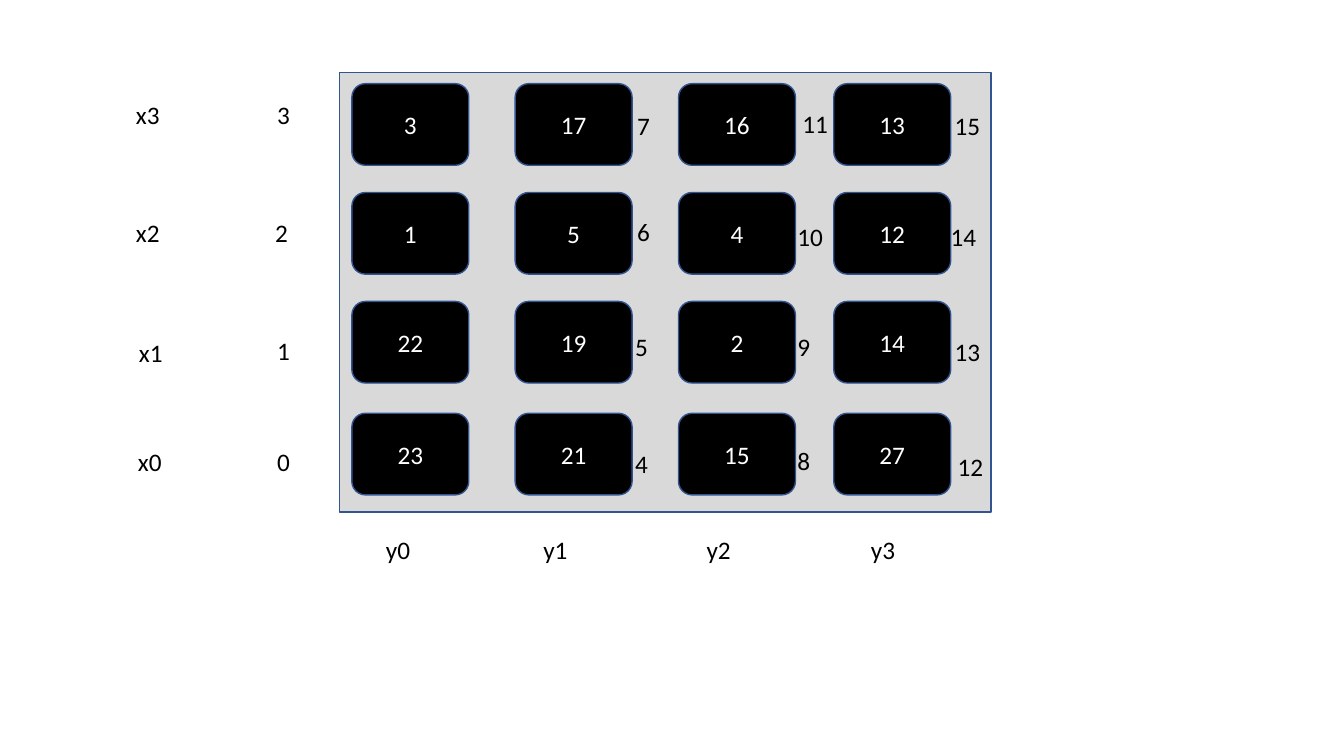
import dataclasses

import pptx
import pptx.dml.color
import pptx.enum.shapes
import pptx.enum.text
import pptx.shapes.autoshape
import pptx.util

RGBColor = pptx.dml.color.RGBColor
SHAPE = pptx.enum.shapes.MSO_SHAPE
BLACK = RGBColor(0x00, 0x00, 0x00)
WHITE = RGBColor(0xFF, 0xFF, 0xFF)
GREY = RGBColor(0xD9, 0xD9, 0xD9)
BLUE = RGBColor(0x32, 0x54, 0x91)

# Grid: left edges of y0 to y3, top edges of x0 to x3 (x0 is lowest)
COLUMN_LEFTS = (3.49, 5.11, 6.73, 8.27)
ROW_TOPS = (4.1, 2.99, 1.91, 0.83)
CELL_WIDTH, CELL_HEIGHT = 1.16, 0.81
LABEL_HEIGHT = 0.4

# Cell values by row, from x0 up to x3
VALUES = ((23, 21, 15, 27), (22, 19, 2, 14), (1, 5, 4, 12), (3, 17, 16, 13))


@dataclasses.dataclass(frozen=True)
class Box:
    left: float
    top: float
    width: float
    height: float

    def emu(self) -> list[int]:
        return [pptx.util.Inches(n) for n in dataclasses.astuple(self)]


@dataclasses.dataclass(frozen=True)
class Label:
    """Text set off by dx, dy from the corner of a grid cell."""
    text: str
    column: int
    row: int
    dx: float
    dy: float
    width: float
    wrap: bool = True


# Cell numbers run up each column in turn; offsets are listed in that order
NUMBER_OFFSETS = (
    (-0.84, 0.28), (-0.84, 0.29), (-0.86, 0.20), (-0.84, 0.11),
    (1.09, 0.30), (1.09, 0.25), (1.11, 0.19), (1.11, 0.22),
    (1.08, 0.27), (1.08, 0.25), (1.08, 0.24), (1.13, 0.20),
    (1.13, 0.33), (1.10, 0.30), (1.06, 0.24), (1.10, 0.22),
)
X_LAYOUT = ((-2.22, 0.28, 0.78), (-2.21, 0.31, 1.0),
            (-2.24, 0.20, 0.93), (-2.24, 0.11, 0.78))
Y_LAYOUT = ((0.24, 1.16), (0.18, 0.77), (0.18, 0.77), (0.27, 0.95))

LABELS = [
    *(Label(f"y{column}", column, 0, dx, 1.15, width)
      for column, (dx, width) in enumerate(Y_LAYOUT)),
    *(Label(f"x{row}", 0, row, dx, dy, width)
      for row, (dx, dy, width) in enumerate(X_LAYOUT)),
    *(Label(str(number), *divmod(number, len(ROW_TOPS)), dx, dy,
            0.33 if number < 10 else 0.46, wrap=False)
      for number, (dx, dy) in enumerate(NUMBER_OFFSETS)),
]

deck = pptx.Presentation()
deck.slide_width = pptx.util.Inches(13.33)
deck.slide_height = pptx.util.Inches(7.5)
slide = deck.slides.add_slide(deck.slide_layouts.get_by_name("Blank"))


def write(frame, text: str, *, color: RGBColor = BLACK, size: int = 18,
          font: str = "Calibri", centred: bool = False) -> None:
    paragraph = frame.paragraphs[0]
    paragraph.alignment = (pptx.enum.text.PP_ALIGN.CENTER if centred
                           else pptx.enum.text.PP_ALIGN.LEFT)
    run = paragraph.add_run()
    run.text = text
    run.font.name, run.font.size = font, pptx.util.Pt(size)
    run.font.color.rgb = color


def draw_panel(preset: SHAPE, box: Box,
               fill: RGBColor) -> pptx.shapes.autoshape.Shape:
    panel = slide.shapes.add_shape(preset, *box.emu())
    panel.shadow.inherit = False
    panel.fill.solid()
    panel.fill.fore_color.rgb = fill
    panel.line.color.rgb = BLUE
    panel.line.width = pptx.util.Pt(1)
    return panel


def draw_cell(value: int, column: int, row: int) -> None:
    box = Box(COLUMN_LEFTS[column], ROW_TOPS[row], CELL_WIDTH, CELL_HEIGHT)
    frame = draw_panel(SHAPE.ROUNDED_RECTANGLE, box, BLACK).text_frame
    frame.vertical_anchor = pptx.enum.text.MSO_ANCHOR.MIDDLE
    write(frame, str(value), color=WHITE, centred=True)


def draw_label(label: Label) -> None:
    box = Box(COLUMN_LEFTS[label.column] + label.dx,
              ROW_TOPS[label.row] + label.dy, label.width, LABEL_HEIGHT)
    frame = slide.shapes.add_textbox(*box.emu()).text_frame
    frame.word_wrap = label.wrap
    frame.auto_size = pptx.enum.text.MSO_AUTO_SIZE.SHAPE_TO_FIT_TEXT
    write(frame, label.text)


# Grey board behind the grid
draw_panel(SHAPE.RECTANGLE, Box(3.37, 0.72, 6.46, 4.36), GREY)

# Cells, top row first
for row in reversed(range(len(ROW_TOPS))):
    for column, value in enumerate(VALUES[row]):
        draw_cell(value, column, row)

# Axis names and cell numbers
for label in LABELS:
    draw_label(label)

deck.save("out.pptx")
